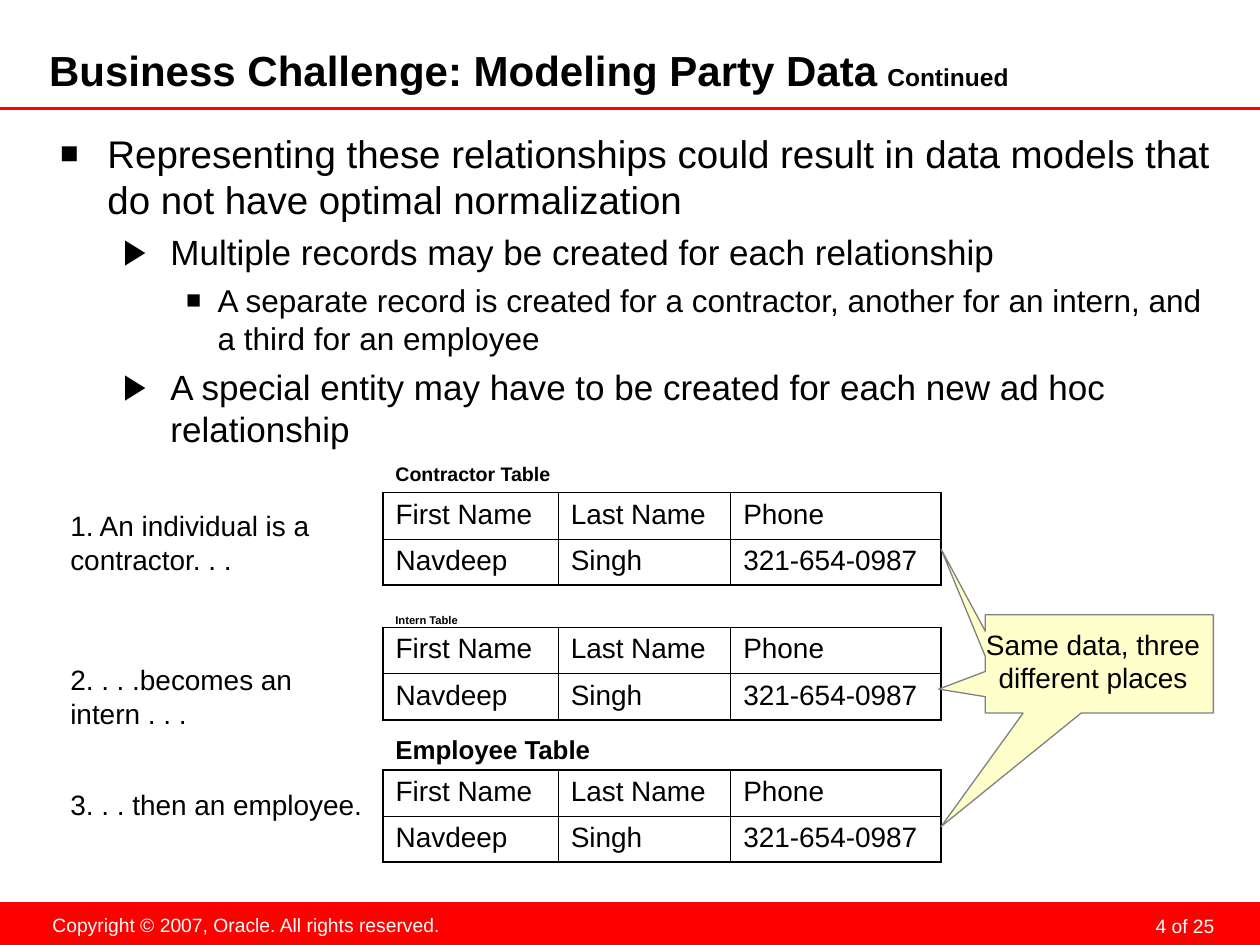
from dataclasses import dataclass

from lxml.etree import SubElement
from pptx import Presentation
from pptx.dml.color import RGBColor
from pptx.enum.shapes import MSO_CONNECTOR as Connector, MSO_SHAPE as Shape
from pptx.enum.text import MSO_ANCHOR as Anchor, PP_ALIGN as Align
from pptx.oxml.ns import qn
from pptx.util import Emu, Inches, Pt

# The page is a grid of 100 columns by 75 rows, with square units
COLUMNS, ROWS = 100, 75
UNIT = Inches(0.1)


@dataclass(frozen=True)
class Theme:
    font: str = "Arial"
    ink: str = "000000"
    accent: str = "FF0000"
    light: str = "FFFFFF"
    note: str = "FFFFCC"
    note_edge: str = "808080"
    title: float = 24
    title_gap: float = 20
    title_suffix: float = 14
    body: float = 16
    footer: float = 11
    outer_line: float = 1.08
    inner_line: float = 0.45


@dataclass(frozen=True)
class BulletLevel:
    size: float
    margin: float
    hang: float
    before: float
    mark: str
    mark_percent: int


THEME = Theme()
LEVELS = [
    BulletLevel(22, 3.75, 3.75, 5.5, "■", 80),
    BulletLevel(20, 8.75, 3.75, 5, "▶", 100),
    BulletLevel(18, 12.5, 2.5, 4.5, "■", 80),
]
BULLETS = [
    (0, "Representing these relationships could result in data models that "
        "do not have optimal normalization"),
    (1, "Multiple records may be created for each relationship"),
    (2, "A separate record is created for a contractor, another for an intern, "
        "and a third for an employee"),
    (1, "A special entity may have to be created for each new ad hoc relationship"),
]
RECORDS = [("First Name", "Last Name", "Phone"),
           ("Navdeep", "Singh", "321-654-0987")]
TABLE_LEFT = 30.4
TABLE_COLUMNS = (13.9, 13.7, 16.7)
ROW_HEIGHT = 3.67


def units(value):
    return Emu(round(value * UNIT))


def rgb(value):
    return RGBColor.from_string(value)


def set_font(para, size, color=THEME.ink, bold=False):
    para.font.name = THEME.font
    para.font.size = Pt(size)
    para.font.bold = bold
    para.font.color.rgb = rgb(color)


def add_box(page, area, anchor=Anchor.TOP, insets=(1, 0.5, 1, 0.5), wrap=True):
    frame = page.shapes.add_textbox(*map(units, area)).text_frame
    frame.word_wrap = wrap
    frame.vertical_anchor = anchor
    (frame.margin_left, frame.margin_top,
     frame.margin_right, frame.margin_bottom) = map(units, insets)
    return frame


def add_text(page, area, text, size=THEME.body, color=THEME.ink, bold=False,
             align=Align.LEFT, spacing=None, **box_options):
    para = add_box(page, area, **box_options).paragraphs[0]
    para.text = text
    para.alignment = align
    para.line_spacing = spacing
    set_font(para, size, color, bold)


def add_title(page):
    para = add_box(page, (3.9, 3.8, 78.7, 4), Anchor.MIDDLE,
                   (0, 0, 0.5, 0.5)).paragraphs[0]
    set_font(para, THEME.title, bold=True)
    for text, size in (("Business Challenge: Modeling Party Data", THEME.title),
                       (" ", THEME.title_gap),
                       ("Continued", THEME.title_suffix)):
        span = para.add_run()
        span.text = text
        span.font.size = Pt(size)


def add_bullets(page):
    frame = add_box(page, (3.8, 9.3, 94, 61.6), insets=(1, 1, 1, 0.5))
    for index, (depth, text) in enumerate(BULLETS):
        level = LEVELS[depth]
        para = frame.add_paragraph() if index else frame.paragraphs[0]
        para.text = text
        para.level = depth
        props = para._p.get_or_add_pPr()
        props.set("marL", str(units(level.margin)))
        props.set("indent", str(-units(level.hang)))
        SubElement(SubElement(props, qn("a:buClr")), qn("a:srgbClr"), val=THEME.ink)
        SubElement(props, qn("a:buSzPct"), val=str(level.mark_percent * 1000))
        SubElement(props, qn("a:buFont"), typeface=THEME.font)
        SubElement(props, qn("a:buChar"), char=level.mark)
        if index:
            para.space_before = Pt(level.before)
        set_font(para, level.size)


def set_borders(cell, outer_sides):
    props = cell._tc.get_or_add_tcPr()
    for side in "LRTB":
        width = THEME.outer_line if side in outer_sides else THEME.inner_line
        line = SubElement(props, qn(f"a:ln{side}"), w=str(Pt(width)))
        SubElement(SubElement(line, qn("a:solidFill")), qn("a:srgbClr"), val=THEME.ink)


def add_record_table(page, top):
    rows, columns = len(RECORDS), len(TABLE_COLUMNS)
    area = TABLE_LEFT, top, sum(TABLE_COLUMNS), rows * ROW_HEIGHT
    table = page.shapes.add_table(rows, columns, *map(units, area)).table
    table.first_row = table.horz_banding = False
    for column, width in zip(table.columns, TABLE_COLUMNS):
        column.width = units(width)
    for r, record in enumerate(RECORDS):
        for c, text in enumerate(record):
            cell = table.cell(r, c)
            cell.text = text
            set_font(cell.text_frame.paragraphs[0], THEME.body)
            edges = {"L": c == 0, "R": c == columns - 1,
                     "T": r == 0, "B": r == rows - 1}
            set_borders(cell, [side for side, outer in edges.items() if outer])
            cell.fill.background()


def add_callout(page):
    # A rectangle with one pointer to each table
    left, top, right, bottom = 78.2, 48.8, 96.3, 56.6
    points = [(left, top), (right, top), (right, bottom),
              (85.8, bottom), (74.7, 65.6), (81.2, bottom), (left, bottom),
              (left, 55.3), (74.5, 54.7), (left, 53.3),
              (left, 52.1), (74.7, 43.6), (left, 50.1)]
    start, *others = [(units(x), units(y)) for x, y in points]
    builder = page.shapes.build_freeform(*start)
    builder.add_line_segments(others, close=True)
    callout = builder.convert_to_shape()
    callout.shadow.inherit = False
    callout.fill.solid()
    callout.fill.fore_color.rgb = rgb(THEME.note)
    callout.line.color.rgb = rgb(THEME.note_edge)
    callout.line.width = Pt(0.75)
    add_text(page, (76.8, 49.3, 19.9, 6.4), "Same data, three different places",
             align=Align.CENTER)


def add_frame(page):
    # Footer band with its two texts
    band = page.shapes.add_shape(Shape.RECTANGLE,
                                 *map(units, (0, 71.6, COLUMNS, ROWS - 71.6)))
    band.shadow.inherit = False
    band.fill.solid()
    band.fill.fore_color.rgb = rgb(THEME.accent)
    band.line.fill.background()
    add_text(page, (73.6, 71.9, 23.3, 2.5), "4 of 25", THEME.footer, THEME.light,
             align=Align.RIGHT, spacing=Pt(18), insets=(0.5, 0, 0.5, 0))
    add_text(page, (3.1, 72, 32.9, 2.9),
             "Copyright © 2007, Oracle. All rights reserved.",
             THEME.footer, THEME.light, align=Align.CENTER, wrap=False)
    # Rule under the title
    rule = page.shapes.add_connector(Connector.STRAIGHT,
                                     *map(units, (0, 8.6, COLUMNS, 8.6)))
    rule.line.color.rgb = rgb(THEME.accent)
    rule.line.width = Pt(1.75)
    SubElement(rule._element.spPr, qn("a:effectLst"))


def main():
    deck = Presentation()
    deck.slide_width, deck.slide_height = units(COLUMNS), units(ROWS)
    page = deck.slides.add_slide(deck.slide_layouts[6])
    add_frame(page)
    add_title(page)
    add_bullets(page)

    # Steps at the left
    for top, width, height, text in (
            (39.9, 25.4, 6.4, "1. An individual is a contractor. . ."),
            (52.1, 22.6, 6.4, "2. . . .becomes an intern . . ."),
            (62, 28.5, 3.7, "3. . . then an employee.")):
        add_text(page, (4.6, top, width, height), text)

    # Captions and their tables
    for top, width, height, text, size, spacing, table_top in (
            (36, 22.3, 3, "Contractor Table", 11.2, 0.8, 39.1),
            (47.9, 30.7, 2.3, "Intern Table", 6.4, 0.8, 49.8),
            (57.6, 32.3, 3.6, "Employee Table", 14.8, 0.9, 61.1)):
        add_text(page, (TABLE_LEFT, top, width, height), text, size, bold=True,
                 spacing=spacing, anchor=Anchor.BOTTOM)
        add_record_table(page, table_top)

    add_callout(page)
    deck.save("out.pptx")


if __name__ == "__main__":
    main()
